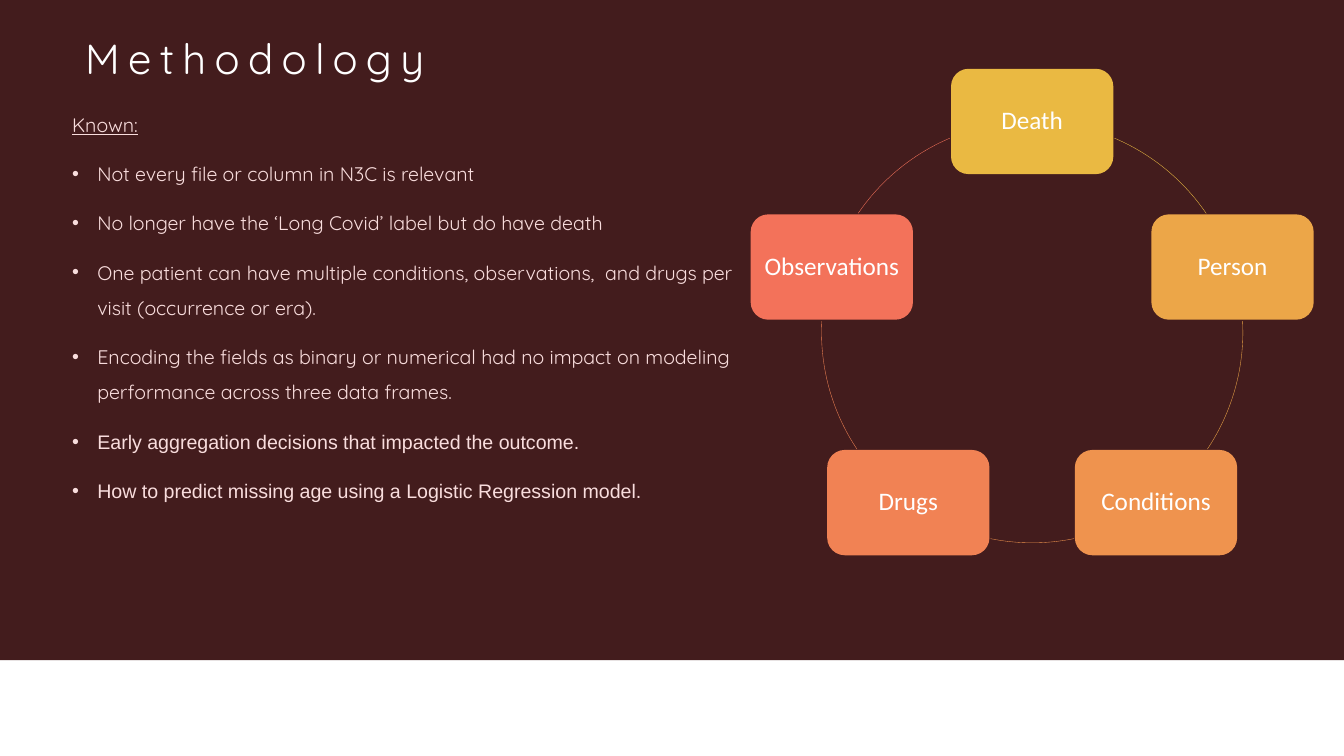
"""Build the Methodology slide: findings on the left, a cycle of data tables on the right."""
import math

from lxml import etree
from pptx import Presentation
from pptx.dml.color import RGBColor
from pptx.enum.shapes import MSO_SHAPE
from pptx.enum.text import MSO_ANCHOR, PP_ALIGN
from pptx.oxml.ns import qn
from pptx.util import Inches, Pt

RECTANGLE = MSO_SHAPE.RECTANGLE
ROUNDED = MSO_SHAPE.ROUNDED_RECTANGLE
ARC = MSO_SHAPE.ARC
MIDDLE = MSO_ANCHOR.MIDDLE
CENTER = PP_ALIGN.CENTER

COLORS = {
    "panel": "431C1D",
    "white": "FFFFFF",
    "body": "F9DDDD",
    "Death": "EAB942",
    "Person": "ECA648",
    "Conditions": "EF934E",
    "Drugs": "F18254",
    "Observations": "F3725A",
}
FINDINGS = [
    ("Known:", "Quicksand"),
    ("Not every file or column in N3C is relevant", "Quicksand"),
    ("No longer have the ‘Long Covid’ label but do have death", "Quicksand"),
    ("One patient can have multiple conditions, observations,  and drugs per visit "
     "(occurrence or era).", "Quicksand"),
    ("Encoding the fields as binary or numerical had no impact on modeling "
     "performance across three data frames.", "Quicksand"),
    ("Early aggregation decisions that impacted the outcome.", "Arial"),
    ("How to predict missing age using a Logistic Regression model.", "Arial"),
]
CYCLE = [
    ("Death", 293, 325.7),
    ("Person", 357, 33.7),
    ("Conditions", 78.6, 101.4),
    ("Drugs", 146.3, 183),
    ("Observations", 214.3, 247),
]

presentation = Presentation()
presentation.slide_width = Inches(26.67)
presentation.slide_height = Inches(15)
slide = presentation.slides.add_slide(presentation.slide_layouts[6])
column = presentation.slide_width / 80
row = presentation.slide_height / 45


def add_box(kind, left, top, width, height, color=None):
    box = (int(left), int(top), int(width), int(height))
    if kind is None:
        shape = slide.shapes.add_textbox(*box)
        shape.text_frame.word_wrap = True
        return shape
    shape = slide.shapes.add_shape(kind, *box)
    shape.shadow.inherit = False
    shape.line.fill.background()
    if color:
        shape.fill.solid()
        shape.fill.fore_color.rgb = RGBColor.from_string(COLORS[color])
    else:
        shape.fill.background()
    return shape


def style(paragraph, font_name, size, color, spacing):
    paragraph.line_spacing = spacing
    font = paragraph.runs[0].font
    font.name = font_name
    font.size = Pt(size)
    font.color.rgb = RGBColor.from_string(COLORS[color])
    return font


add_box(RECTANGLE, 0, 0, presentation.slide_width, 39.3 * row, "panel")

title = add_box(None, 4.77 * column, 2.1 * row, 60 * column, 3.75 * row)
title.text_frame.text = "Methodology"
heading = title.text_frame.paragraphs[0]
style(heading, "Quicksand", 60, "white", 0.9)
heading.runs[0]._r.get_or_add_rPr().set("spc", "1200")

body = add_box(None, 4 * column, 5.85 * row, 40.67 * column, 31.7 * row)
body.text_frame.text = "\n".join(text for text, font_name in FINDINGS)
for index, (text, font_name) in enumerate(FINDINGS):
    paragraph = body.text_frame.paragraphs[index]
    if index:
        properties = paragraph._p.get_or_add_pPr()
        properties.set("marL", str(Inches(0.5)))
        properties.set("indent", str(-Inches(0.5)))
        etree.SubElement(properties, qn("a:buFont")).set("typeface", "Arial")
        etree.SubElement(properties, qn("a:buChar")).set("char", "•")
        paragraph.space_before = Pt(20)
    font = style(paragraph, font_name, 28, "body", 1.5)
    font.underline = index == 0

center_x, center_y = 61.44 * column, 19.77 * row
radius = 12.54 * column
node_width, node_height = 9.66 * column, 6.27 * row

for index, (name, start, end) in enumerate(CYCLE):
    angle = math.radians(72 * index - 90)
    node = add_box(
        ROUNDED,
        center_x + radius * math.cos(angle) - node_width / 2,
        center_y + radius * math.sin(angle) - node_height / 2,
        node_width, node_height, name,
    )
    frame = node.text_frame
    frame.margin_left = frame.margin_right = Inches(0.05)
    frame.margin_top = frame.margin_bottom = Inches(0.15)
    frame.word_wrap = True
    frame.vertical_anchor = MIDDLE
    frame.text = name
    frame.paragraphs[0].alignment = CENTER
    style(frame.paragraphs[0], "Calibri", 36, "white", 0.9)

    arc = add_box(ARC, center_x - radius, center_y - radius, 2 * radius, 2 * radius)
    arc.adjustments[0] = start * 0.6
    arc.adjustments[1] = end * 0.6
    arc.line.color.rgb = RGBColor.from_string(COLORS[name])
    arc.line.width = Pt(0.5)

presentation.save("out.pptx")
